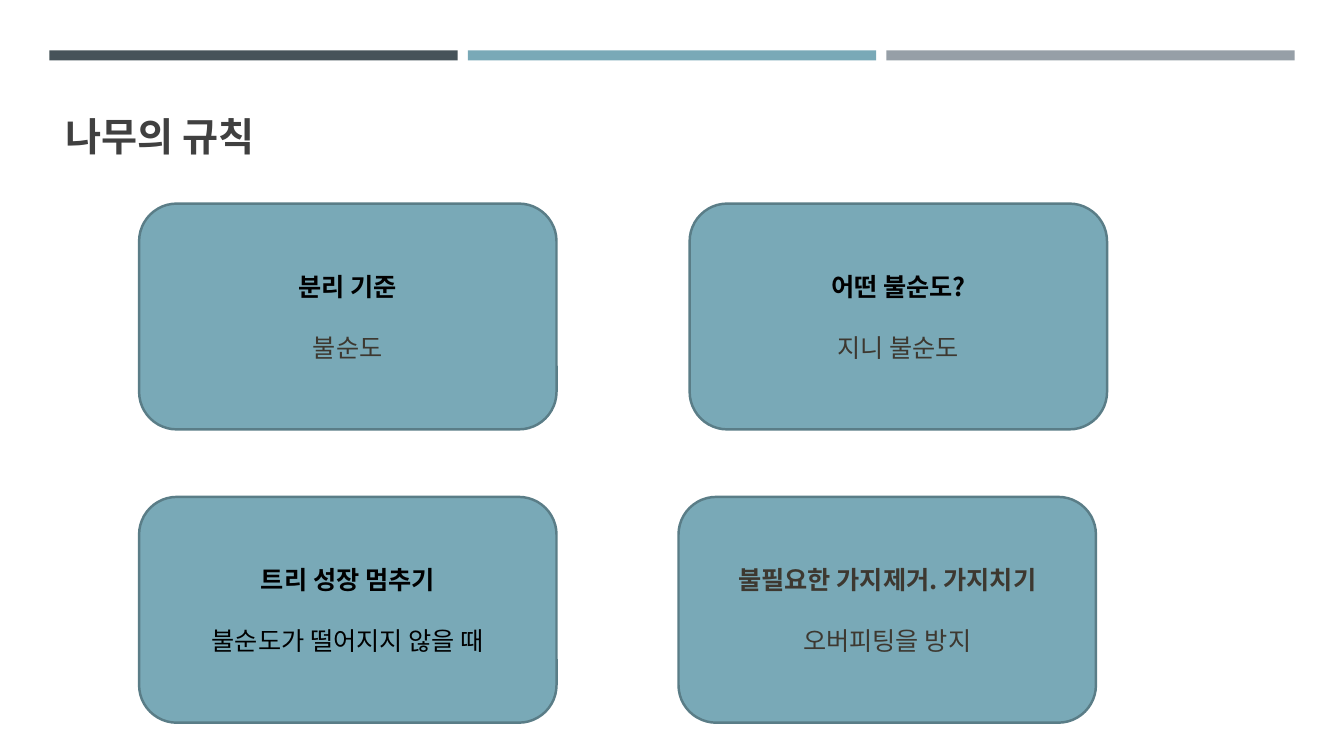
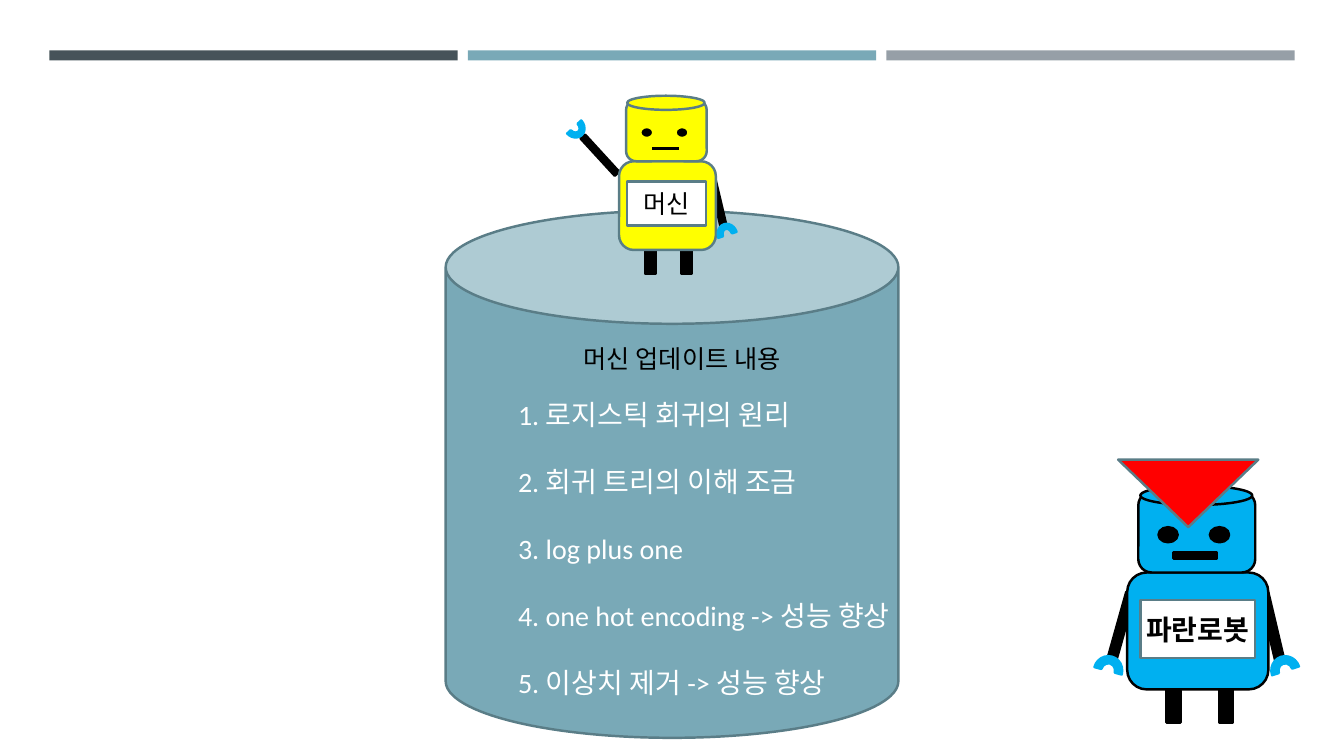
from lxml import etree
from pptx import Presentation
from pptx.dml.color import RGBColor
from pptx.enum.shapes import MSO_SHAPE
from pptx.enum.text import MSO_ANCHOR, PP_ALIGN
from pptx.oxml.ns import qn
from pptx.util import Emu, Pt

RECT, ROUND, OVAL = MSO_SHAPE.RECTANGLE, MSO_SHAPE.ROUNDED_RECTANGLE, MSO_SHAPE.OVAL
CAN, ARC, TRIANGLE = MSO_SHAPE.CAN, MSO_SHAPE.BLOCK_ARC, MSO_SHAPE.ISOSCELES_TRIANGLE
TOP, MIDDLE, BOTTOM = MSO_ANCHOR.TOP, MSO_ANCHOR.MIDDLE, MSO_ANCHOR.BOTTOM
LEFT, CENTER = PP_ALIGN.LEFT, PP_ALIGN.CENTER
PX = 9144
TEAL, EDGE, SLATE, GRAY = "79A9B7", "5A7D87", "465359", "969FA7"
BLACK, WHITE, YELLOW, BLUE, RED = "000000", "FFFFFF", "FFFF00", "00B0F0", "FF0000"
TITLE, BROWN = "404040", "3D3830"
KOREAN, LATIN = "Noto Sans CJK KR", "Calibri"


def draw(shapes, kind, box, fill, line=None, rotation=0):
    sp = shapes.add_shape(kind, *[Emu(v * PX) for v in box])
    sp.shadow.inherit = False
    sp.rotation = rotation
    sp.fill.solid()
    sp.fill.fore_color.rgb = RGBColor.from_string(fill)
    if line:
        sp.line.color.rgb = RGBColor.from_string(line)
        sp.line.width = Pt(1.75)
    else:
        sp.line.fill.background()
    return sp


def write(sp, lines, size, font, align=LEFT, anchor=TOP, pitch=None):
    tf = sp.text_frame
    tf.word_wrap = True
    tf.vertical_anchor = anchor
    for i, (text, color, bold) in enumerate(lines):
        p = tf.add_paragraph() if i else tf.paragraphs[0]
        p.alignment = align
        if pitch:
            p.line_spacing = Pt(pitch)
            p.space_before = Pt(pitch if i else 0)
        r = p.add_run()
        r.text = text
        for name, value in {"size": Pt(size), "bold": bold, "name": font}.items():
            setattr(r.font, name, value)
        r.font.color.rgb = RGBColor.from_string(color)
        etree.SubElement(r.font._element, qn("a:ea"), typeface=KOREAN)


prs = Presentation()
prs.slide_width, prs.slide_height = Emu(1333 * PX), Emu(750 * PX)
slides = [prs.slides.add_slide(prs.slide_layouts[6]) for _ in range(2)]
for s in slides:
    for i, color in enumerate([SLATE, TEAL, GRAY]):
        draw(s.shapes, RECT, (49 + 415 * i, 50, 405, 10), color)
rules, update = slides

title = rules.shapes.add_textbox(*[Emu(v * PX) for v in (55, 33, 1206, 130)])
write(title, [("나무의 규칙", TITLE, True)], 28, KOREAN, anchor=BOTTOM)

cards = [
    (138, 202, "분리 기준", BLACK, "불순도", BROWN),
    (684, 202, "어떤 불순도?", BLACK, "지니 불순도", BROWN),
    (138, 493, "트리 성장 멈추기", BLACK, "불순도가 떨어지지 않을 때", BLACK),
    (673, 493, "불필요한 가지제거. 가지치기", BROWN, "오버피팅을 방지", BROWN),
]
for x, y, head, head_color, body, body_color in cards:
    sp = draw(rules.shapes, ROUND, (x, y, 414, 224), TEAL, EDGE)
    lines = [(head, head_color, True), (body, body_color, False)]
    write(sp, lines, 18, KOREAN, CENTER, MIDDLE, pitch=22)

draw(update.shapes, CAN, (442, 209, 449, 523), TEAL, EDGE)

heading = update.shapes.add_textbox(*[Emu(v * PX) for v in (569, 335, 656, 40)])
write(heading, [("머신 업데이트 내용", BLACK, False)], 18, LATIN, pitch=22)

items = [
    "1. 로지스틱 회귀의 원리",
    "2. 회귀 트리의 이해 조금",
    "3. log plus one",
    "4. one hot encoding -> 성능 향상",
    "5. 이상치 제거 -> 성능 향상",
]
notes = update.shapes.add_textbox(*[Emu(v * PX) for v in (504, 389, 656, 313)])
write(notes, [(text, WHITE, False) for text in items], 20, LATIN, pitch=24)

robots = [
    {
        "name": "머신", "size": 18, "bold": False,
        "skin": YELLOW, "edge": EDGE, "face_edge": YELLOW,
        "legs": [(640, 248, 10, 24), (676, 248, 10, 24)],
        "arms": [(592, 129, 6, 50, 137.5), (709, 175, 6, 51, 346.7)],
        "blocks": [(614, 160, 96, 88), (621, 99, 80, 61)],
        "mouth": (645, 145, 30, 5),
        "eyes": [(635, 126, 13, 11), (670, 126, 13, 11)],
        "label": (622, 180, 78, 44),
        "hands": [(560, 115, 19, 22, 137.1), (712, 222, 19, 22, 341.6)],
        "crown": (622, 95, 77, 14),
    },
    {
        "name": "파란로봇", "size": 20, "bold": True,
        "skin": BLUE, "edge": BLACK, "face_edge": BLACK,
        "legs": [(1157, 685, 14, 32), (1209, 685, 14, 32)],
        "arms": [(1108, 587, 9, 66, 15.7), (1257, 588, 9, 68, 346.7)],
        "blocks": [(1118, 568, 140, 116), (1129, 488, 116, 80)],
        "mouth": (1164, 548, 43, 6),
        "eyes": [(1149, 523, 19, 15), (1200, 523, 19, 15)],
        "label": (1131, 595, 114, 58),
        "hands": [(1085, 651, 28, 29, 15.3), (1261, 651, 28, 29, 341.6)],
        "crown": (1131, 482, 111, 19),
    },
]
for robot in robots:
    group = update.shapes.add_group_shape().shapes
    skin, edge, face_edge = robot["skin"], robot["edge"], robot["face_edge"]
    for box in robot["legs"]:
        draw(group, RECT, box, BLACK, BLACK)
    for *box, rotation in robot["arms"]:
        draw(group, RECT, box, BLACK, BLACK, rotation)
    for box in robot["blocks"]:
        draw(group, ROUND, box, skin, edge)
    draw(group, RECT, robot["mouth"], BLACK, face_edge)
    for box in robot["eyes"]:
        draw(group, OVAL, box, BLACK, face_edge)
    label = draw(group, RECT, robot["label"], WHITE, EDGE)
    label.text_frame.margin_left = label.text_frame.margin_right = 0
    write(label, [(robot["name"], BLACK, robot["bold"])], robot["size"], LATIN, CENTER, MIDDLE)
    for *box, rotation in robot["hands"]:
        draw(group, ARC, box, BLUE, BLUE, rotation)
    draw(group, OVAL, robot["crown"], skin, edge)

draw(update.shapes, TRIANGLE, (1109, 456, 139, 67), RED, EDGE, 180)

prs.save("out.pptx")
